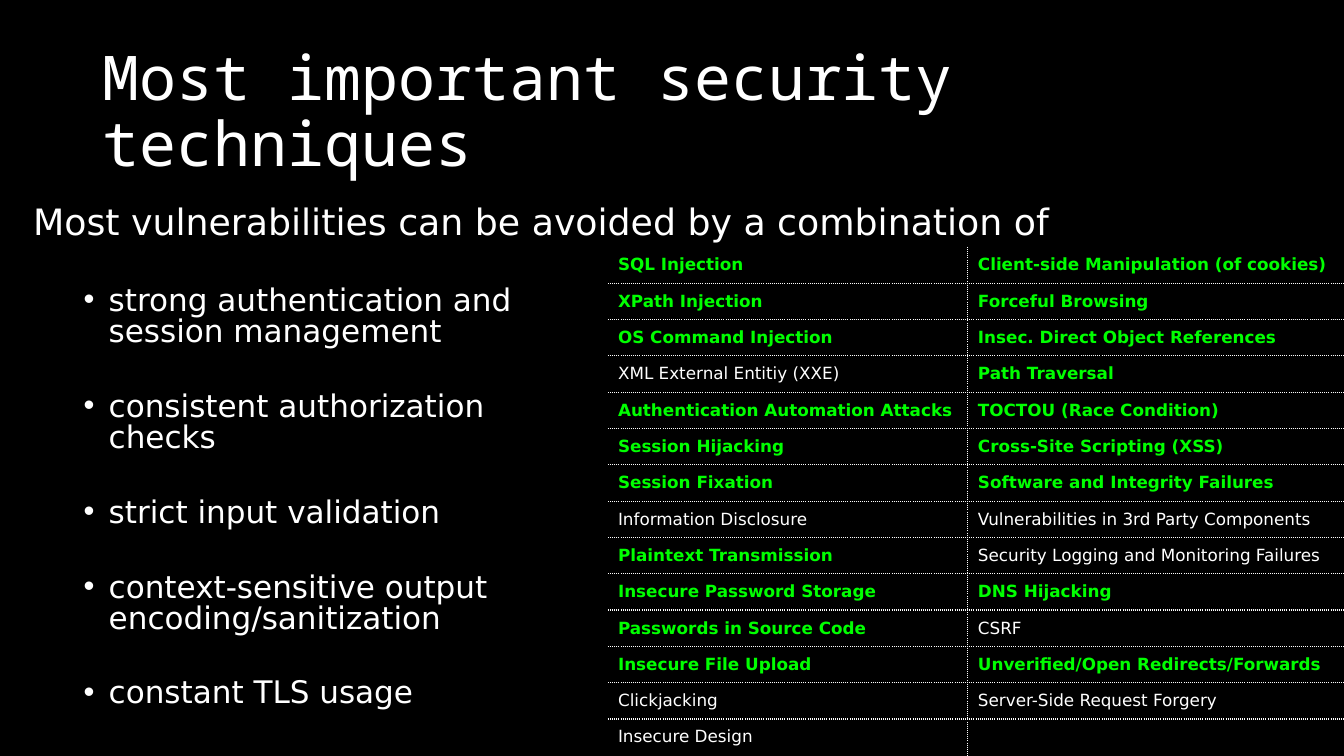
from lxml.etree import SubElement
from pptx import Presentation
from pptx.dml.color import RGBColor
from pptx.enum.text import MSO_ANCHOR
from pptx.oxml import parse_xml
from pptx.oxml.ns import nsdecls, qn
from pptx.util import Inches, Pt

TITLE = "Most important security techniques"
LEAD = "Most vulnerabilities can be avoided by a combination of"
TECHNIQUES = [
    "strong authentication and\nsession management",
    "consistent authorization\nchecks",
    "strict input validation",
    "context-sensitive output\nencoding/sanitization",
    "constant TLS usage",
]
THREATS = [
    ("SQL Injection", "Client-side Manipulation (of cookies)"),
    ("XPath Injection", "Forceful Browsing"),
    ("OS Command Injection", "Insec. Direct Object References"),
    ("XML External Entitiy (XXE)", "Path Traversal"),
    ("Authentication Automation Attacks", "TOCTOU (Race Condition)"),
    ("Session Hijacking", "Cross-Site Scripting (XSS)"),
    ("Session Fixation", "Software and Integrity Failures"),
    ("Information Disclosure", "Vulnerabilities in 3rd Party Components"),
    ("Plaintext Transmission", "Security Logging and Monitoring Failures"),
    ("Insecure Password Storage", "DNS Hijacking"),
    ("Passwords in Source Code", "CSRF"),
    ("Insecure File Upload", "Unverified/Open Redirects/Forwards"),
    ("Clickjacking", "Server-Side Request Forgery"),
    ("Insecure Design", ""),
]
UNCOVERED = {
    "XML External Entitiy (XXE)",
    "Information Disclosure",
    "Vulnerabilities in 3rd Party Components",
    "Security Logging and Monitoring Failures",
    "CSRF",
    "Clickjacking",
    "Server-Side Request Forgery",
    "Insecure Design",
}
COLORS = {"background": "000000", "text": "FFFFFF", "covered": "00FF00"}
COLUMN_WIDTHS = (3.57, 3.73)
ROW_HEIGHT = 0.35
THREAT_SIZE = 12
CELL_FORMAT = {
    "vertical_anchor": MSO_ANCHOR.MIDDLE,
    "margin_left": Inches(0.1),
    "margin_right": Inches(0.1),
    "margin_top": Inches(0.08),
    "margin_bottom": Inches(0.08),
}
LEAD_FORMAT = {"line_spacing": 0.83}
TECHNIQUE_FORMAT = {"line_spacing": 0.83, "space_before": Pt(31.4)}


def apply(target, formats):
    for name, value in formats.items():
        setattr(target, name, value)


def write(paragraph, text, size, face="DejaVu Sans", color="text", bold=False):
    paragraph.text = text
    for run in paragraph.runs:
        apply(run.font, {"size": Pt(size), "name": face, "bold": bold})
        run.font.color.rgb = RGBColor.from_string(COLORS[color])


def add_frame(slide, left, top, width, height):
    box = slide.shapes.add_textbox(*map(Inches, (left, top, width, height)))
    box.text_frame.word_wrap = True
    return box.text_frame


def add_bullet(paragraph):
    properties = paragraph._p.get_or_add_pPr()
    properties.set("marL", str(Inches(0.75)))
    properties.set("indent", str(Inches(-0.25)))
    SubElement(properties, qn("a:buFont"), typeface="Arial")
    SubElement(properties, qn("a:buChar"), char="•")


def add_borders(cell, inner_sides):
    dotted = (
        f'<a:solidFill><a:srgbClr val="{COLORS["text"]}"/></a:solidFill>'
        '<a:prstDash val="sysDot"/>'
    )
    properties = cell._tc.get_or_add_tcPr()
    for position, (side, inner) in enumerate(inner_sides.items()):
        content = dotted if inner else "<a:noFill/>"
        border = f'<a:ln{side} {nsdecls("a")} w="{Pt(1)}">{content}</a:ln{side}>'
        properties.insert(position, parse_xml(border))


def add_threats(slide):
    row_count, column_count = len(THREATS), len(COLUMN_WIDTHS)
    table = slide.shapes.add_table(
        row_count, column_count, Inches(6.03), Inches(2.45),
        Inches(sum(COLUMN_WIDTHS)), Inches(ROW_HEIGHT * row_count),
    ).table
    apply(table, {"first_row": False, "horz_banding": False})
    for column, width in zip(table.columns, COLUMN_WIDTHS):
        column.width = Inches(width)
    for r, threats in enumerate(THREATS):
        table.rows[r].height = Inches(ROW_HEIGHT)
        for c, threat in enumerate(threats):
            cell = table.cell(r, c)
            apply(cell, CELL_FORMAT)
            cell.fill.background()
            add_borders(cell, {
                "L": c > 0,
                "R": c < column_count - 1,
                "T": r > 0,
                "B": r < row_count - 1,
            })
            paragraph = cell.text_frame.paragraphs[0]
            if threat:
                covered = threat not in UNCOVERED
                color = "covered" if covered else "text"
                write(paragraph, threat, THREAT_SIZE, color=color, bold=covered)
            else:
                SubElement(paragraph._p, qn("a:endParaRPr"), sz=str(THREAT_SIZE * 100))


def main():
    deck = Presentation()
    apply(deck, {"slide_width": Inches(13.33), "slide_height": Inches(7.5)})
    slide = deck.slides.add_slide(deck.slide_layouts[6])
    slide.background.fill.solid()
    slide.background.fill.fore_color.rgb = RGBColor.from_string(COLORS["background"])

    title = add_frame(slide, 0.92, 0.4, 11.89, 1.45)
    title.vertical_anchor = MSO_ANCHOR.MIDDLE
    title.paragraphs[0].line_spacing = 0.9
    write(title.paragraphs[0], TITLE, 44, "Noto Sans Mono")

    body = add_frame(slide, 0.23, 2, 13.28, 5.1)
    apply(body.paragraphs[0], LEAD_FORMAT)
    write(body.paragraphs[0], LEAD, 25.9)
    for technique in TECHNIQUES:
        paragraph = body.add_paragraph()
        apply(paragraph, TECHNIQUE_FORMAT)
        add_bullet(paragraph)
        write(paragraph, technique, 22.2)

    add_threats(slide)
    deck.save("out.pptx")


if __name__ == "__main__":
    main()
